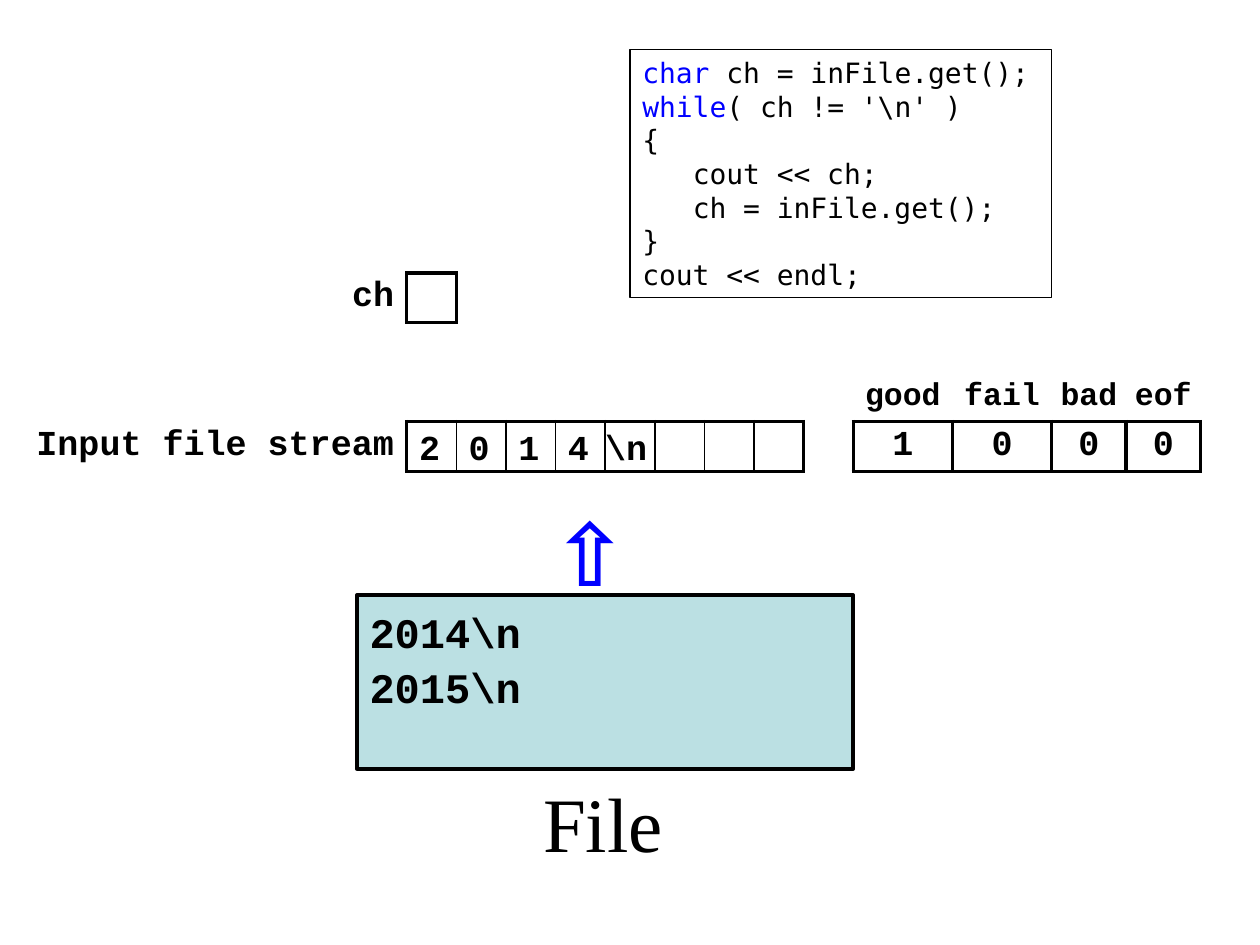
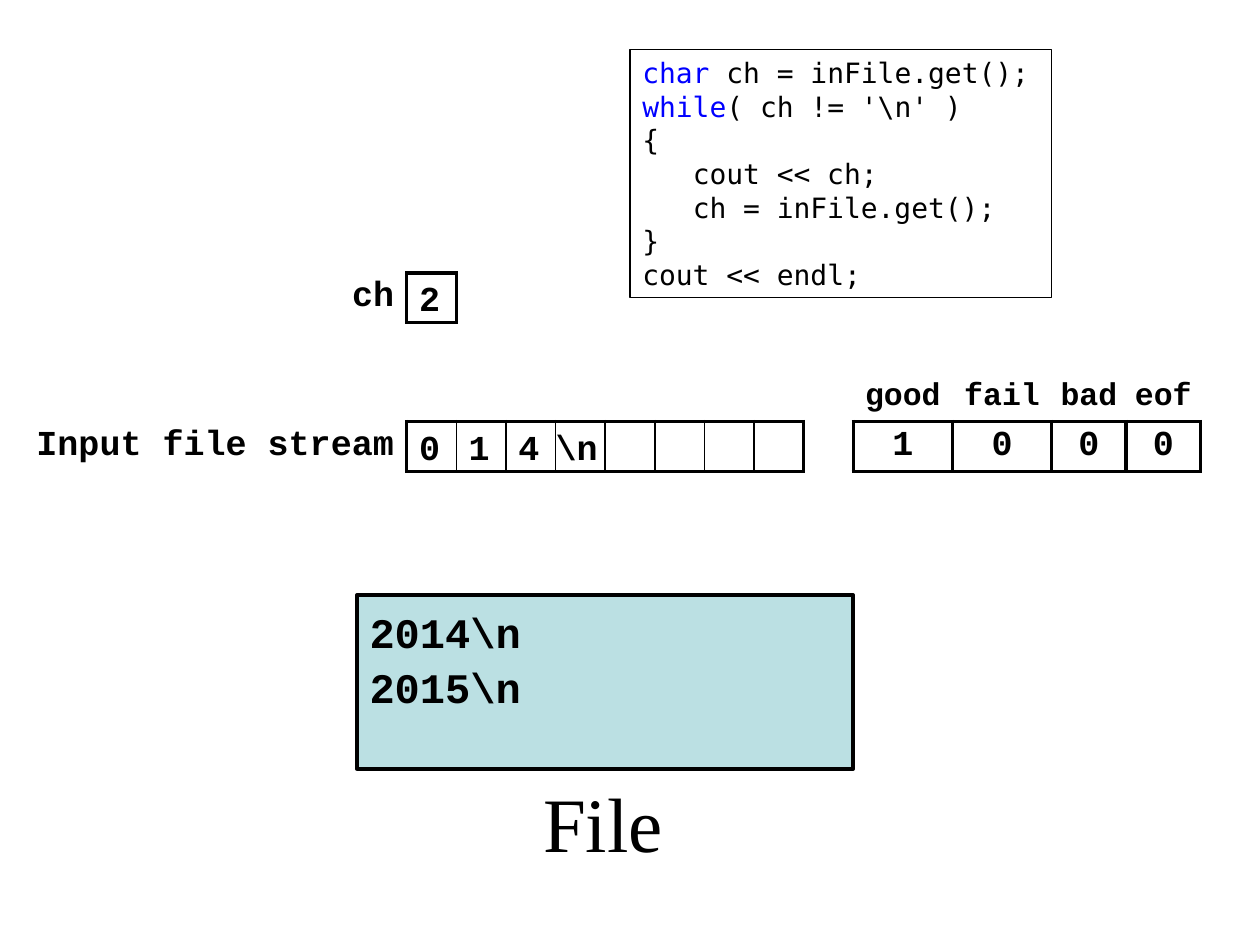
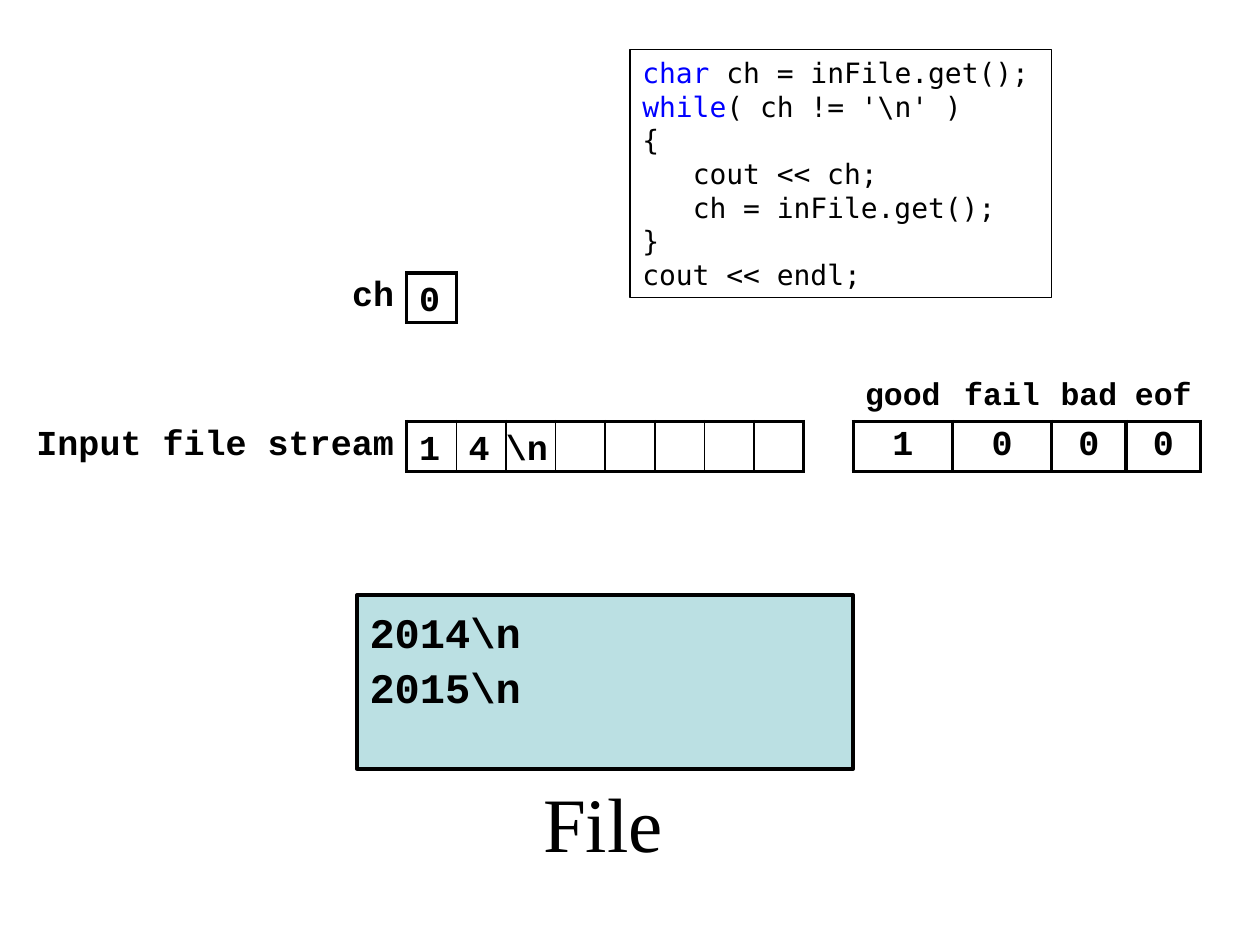
import lxml.etree
import pptx
import pptx.dml.color
import pptx.enum.shapes
import pptx.enum.text
import pptx.oxml.ns
import pptx.util

ALIGN = pptx.enum.text.PP_ALIGN
ANCHOR = pptx.enum.text.MSO_ANCHOR
INSETS = (0.1, 0.05, 0.1, 0.05)
TIGHT = (0, 0, 0, 0)
THICK, THIN = 2.25, 1

CODE = [
    ("char", " ch = inFile.get();", 0),
    ("while", "( ch != '\\n' )", 0),
    ("", "{", 0),
    ("", "cout << ch;", 3),
    ("", "ch = inFile.get();", 3),
    ("", "}", 0),
    ("", "cout << endl;", 0),
]
FLAGS = [("good", "1", 2), ("fail", "0", 2), ("bad", "0", 1.5), ("eof", "0", 1.5)]
SLOTS = 8
LABEL = 7.5
LEFT = 0.7
FIRST = LEFT + LABEL
STEPS = [
    ("", ["2", "0", "1", "4", "\\n"], True),
    ("2", ["0", "1", "4", "\\n"], False),
    ("0", ["1", "4", "\\n"], False),
]


def color(code):
    return pptx.dml.color.RGBColor.from_string(code)


class Deck:
    black, blue, pale = "000000", "0000FF", "BBE0E3"
    mono, code, serif = "Courier New", "DejaVu Sans Mono", "Times New Roman"

    def __init__(self):
        self.show = pptx.Presentation()
        self.show.slide_width = pptx.util.Inches(10)
        self.show.slide_height = pptx.util.Inches(7.5)
        self.unit = self.show.slide_width / 25.4

    def span(self, *cells):
        return [round(self.unit * cell) for cell in cells]

    def start(self):
        self.slide = self.show.slides.add_slide(self.show.slide_layouts[6])

    def style(self, para, size, face, ink=black, bold=False):
        font = para.font
        font.size, font.name, font.bold = pptx.util.Pt(size), face, bold
        font.color.rgb = color(ink)

    def inset(self, target, sizes):
        sides = ("left", "top", "right", "bottom")
        for side, size in zip(sides, sizes):
            setattr(target, "margin_" + side, pptx.util.Inches(size))

    def text(self, words, place, size, face, ink=black, bold=True,
             inset=INSETS, anchor=ANCHOR.TOP):
        frame = self.slide.shapes.add_textbox(*self.span(*place)).text_frame
        frame.word_wrap = True
        frame.vertical_anchor = anchor
        self.inset(frame, inset)
        para = frame.paragraphs[0]
        para.text = words
        self.style(para, size, face, ink, bold)

    def box(self, place, width, fill=None):
        kind = pptx.enum.shapes.MSO_SHAPE.RECTANGLE
        shape = self.slide.shapes.add_shape(kind, *self.span(*place))
        shape.shadow.inherit = False
        shape.line.color.rgb = color(self.black)
        shape.line.width = pptx.util.Pt(width)
        if fill:
            shape.fill.solid()
            shape.fill.fore_color.rgb = color(fill)
        else:
            shape.fill.background()
        frame = shape.text_frame
        frame.word_wrap = True
        frame.vertical_anchor = ANCHOR.TOP
        self.inset(frame, INSETS)
        return frame

    def lines(self, frame, count):
        for _ in range(count - 1):
            frame.add_paragraph()
        for para in frame.paragraphs:
            para.alignment = ALIGN.LEFT
        return frame.paragraphs

    def listing(self, place):
        frame = self.box(place, THIN)
        frame.margin_right = pptx.util.Inches(0.08)
        size = 16
        for para, (key, rest, depth) in zip(self.lines(frame, len(CODE)), CODE):
            self.style(para, size, self.code)
            if key:
                run = para.add_run()
                run.text = key
                run.font.color.rgb = color(self.blue)
            para.add_run().text = rest
            if depth:
                indent = pptx.util.Pt(depth * 0.6 * size)
                para._p.get_or_add_pPr().set("marL", str(indent))

    def file(self, place, rows):
        frame = self.box(place, THICK, self.pale)
        for para, row in zip(self.lines(frame, len(rows)), rows):
            para.text = row
            para.line_spacing = 1.1
            self.style(para, 24, self.mono, bold=True)

    def grid(self, left, top, cols, rows):
        place = self.span(left, top, sum(cols), rows)
        table = self.slide.shapes.add_table(rows, len(cols), *place).table
        table.first_row = table.horz_banding = False
        for col, width in zip(table.columns, cols):
            col.width = self.span(width)[0]
        for row in table.rows:
            row.height = self.span(1)[0]
        return table

    def cell(self, cell, words="", size=20, align=ALIGN.CENTER, **edges):
        props = cell._tc.get_or_add_tcPr()
        name = pptx.oxml.ns.qn
        for side in "LRTB":
            width = edges.get(side, 0)
            line = lxml.etree.SubElement(props, name("a:ln" + side))
            line.set("w", str(pptx.util.Pt(width)))
            if width:
                fill = lxml.etree.SubElement(line, name("a:solidFill"))
                lxml.etree.SubElement(fill, name("a:srgbClr")).set("val", self.black)
            else:
                lxml.etree.SubElement(line, name("a:noFill"))
        cell.fill.background()
        cell.vertical_anchor = ANCHOR.MIDDLE
        self.inset(cell, (0, 0, 0.1, 0) if align == ALIGN.RIGHT else TIGHT)
        para = cell.text_frame.paragraphs[0]
        para.text = words
        para.alignment = align
        self.style(para, size, self.mono, bold=True)

    def stream(self, top):
        widths = [width for _, _, width in FLAGS]
        table = self.grid(LEFT, top, [LABEL] + [1] * (SLOTS + 1) + widths, 2)
        gap = SLOTS + 1
        self.cell(table.cell(0, 0))
        self.cell(table.cell(1, 0), "Input file stream", align=ALIGN.RIGHT, R=THICK)
        for col in range(1, gap):
            self.cell(table.cell(0, col), B=THICK)
            self.cell(table.cell(1, col), T=THICK, B=THICK,
                      L=THICK if col == 1 else THIN,
                      R=THICK if col == SLOTS else THIN)
        self.cell(table.cell(0, gap))
        self.cell(table.cell(1, gap), L=THICK, R=THICK)
        for col, (name, state, _) in enumerate(FLAGS, gap + 1):
            self.cell(table.cell(0, col), name, 18, B=THICK)
            self.cell(table.cell(1, col), state, L=THICK, R=THICK, T=THICK, B=THICK)

    def holder(self, top):
        table = self.grid(FIRST - 1.5, top, [1.5, 1], 1)
        self.cell(table.cell(0, 0), "ch", align=ALIGN.RIGHT, R=THICK)
        self.cell(table.cell(0, 1), L=THICK, R=THICK, T=THICK, B=THICK)

    def char(self, mark, slot, top):
        inset = INSETS if len(mark) == 1 else (0, 0.05, 0, 0.05)
        self.text(mark, (FIRST + slot, top, 1, 1), 20, self.mono,
                  inset=inset, anchor=ANCHOR.MIDDLE)


deck = Deck()
for held, queue, arrow in STEPS:
    deck.start()
    deck.text("File", (10.7, 15.5, 3, 2.5), 44, deck.serif, bold=False)
    deck.listing((12.7, 1, 8.5, 5))
    deck.stream(7.5)
    deck.holder(5.5)
    deck.file((7.2, 12, 10, 3.5), ["2014\\n", "2015\\n"])
    if arrow:
        deck.text("⇧", (11.2, 9.5, 2, 2.5), 66, deck.mono, deck.blue, inset=TIGHT)
    if held:
        deck.char(held, 0, 5.5)
    for slot, mark in enumerate(queue):
        deck.char(mark, slot, 8.5)
deck.show.save("out.pptx")
